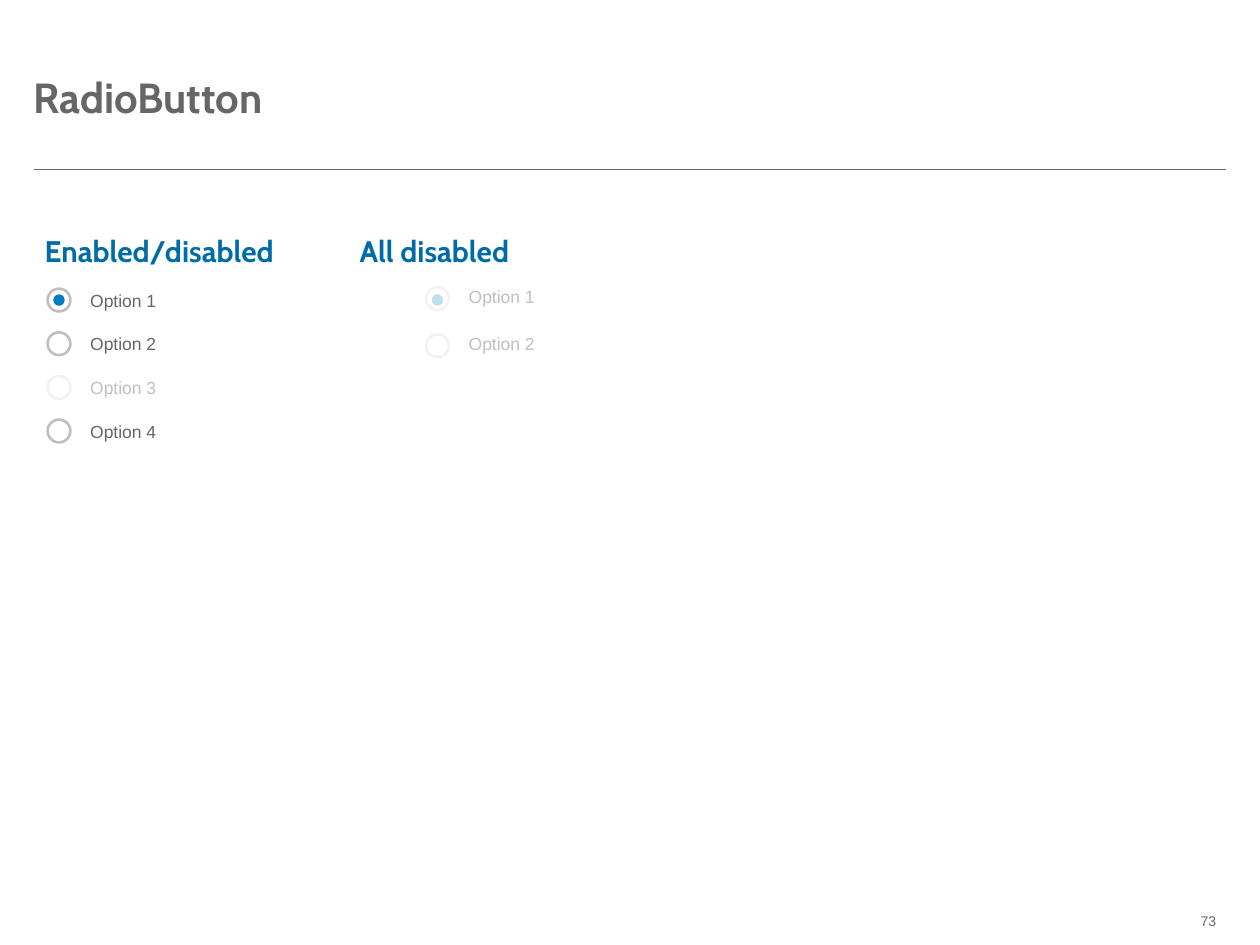
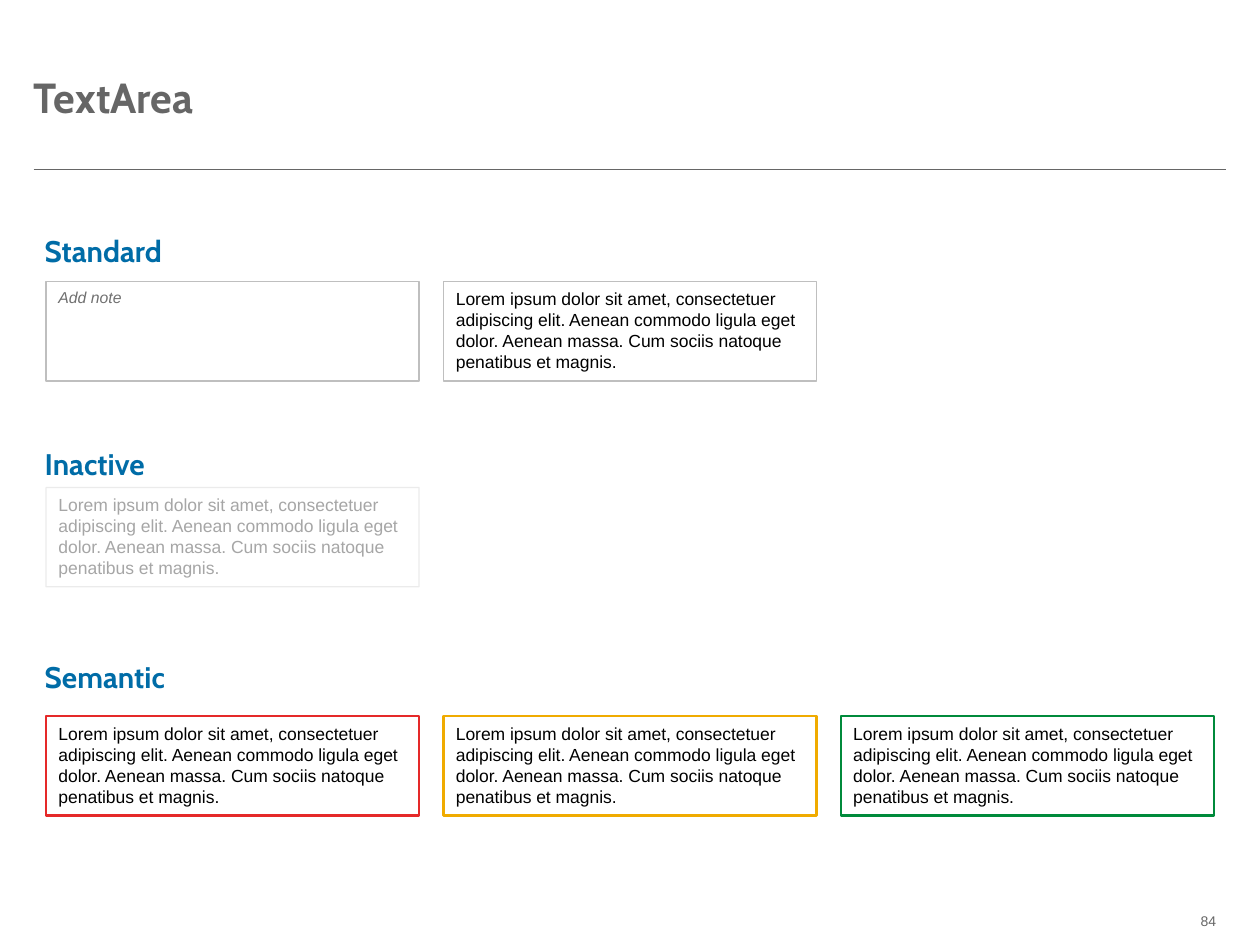
from lxml.etree import SubElement
from pptx import Presentation
from pptx.dml.color import RGBColor
from pptx.enum.shapes import MSO_CONNECTOR, MSO_SHAPE
from pptx.enum.text import MSO_ANCHOR, MSO_AUTO_SIZE, PP_ALIGN
from pptx.oxml.ns import qn
from pptx.util import Cm, Pt

GREY, BLUE, WHITE, BLACK = "666666", "006CA7", "FFFFFF", "000000"
BORDER, FADED_BORDER = "BFBFBF", "F2F2F2"
DOT, FADED_DOT = "007CC0", "BFDEEF"
HINT, INACTIVE = "707070", "A6A6A6"
ERROR, WARNING, SUCCESS = "E52929", "F0AB00", "008A3B"
HEADING_FONT, TEXT_FONT = "Cabin", "Arial"
LOREM = ("Lorem ipsum dolor sit amet, consectetuer adipiscing elit. "
         "Aenean commodo ligula eget dolor. Aenean massa. "
         "Cum sociis natoque penatibus et magnis.")


def rgb(code):
    return RGBColor.from_string(code)


def set_font(para, name, size, color, bold=False, italic=False):
    font = para.font
    font.name, font.size = name, Pt(size)
    font.bold, font.italic = bold, italic
    font.color.rgb = rgb(color)


def set_frame(frame, anchor=MSO_ANCHOR.TOP, margins=(0, 0, 0, 0)):
    """Wrap the text and set its anchor and its margins in centimetres."""
    frame.word_wrap = True
    frame.auto_size = MSO_AUTO_SIZE.NONE
    frame.vertical_anchor = anchor
    (frame.margin_left, frame.margin_top,
     frame.margin_right, frame.margin_bottom) = map(Cm, margins)


def place(shape, left, top, width, height):
    shape.left, shape.top = Cm(left), Cm(top)
    shape.width, shape.height = Cm(width), Cm(height)


def add_label(shapes, text, left, top, width, height, size, color):
    box = shapes.add_textbox(Cm(left), Cm(top), Cm(width), Cm(height))
    set_frame(box.text_frame)
    para = box.text_frame.paragraphs[0]
    para.text = text
    set_font(para, TEXT_FONT, size, color)
    return para


def add_figure(shapes, kind, left, top, width, height, fill, border=None, weight=0):
    shape = shapes.add_shape(kind, Cm(left), Cm(top), Cm(width), Cm(height))
    shape.shadow.inherit = False
    shape.fill.solid()
    shape.fill.fore_color.rgb = rgb(fill)
    if border:
        shape.line.color.rgb = rgb(border)
        shape.line.width = Pt(weight)
    else:
        shape.line.fill.background()
    return shape


def add_page(deck, title, number):
    """Add a page with its title, rule and page number."""
    page = deck.slides.add_slide(deck.slide_layouts[1])
    heading = page.shapes.title
    place(heading, 0.68, 0.89, 24.05, 2.11)
    set_frame(heading.text_frame, MSO_ANCHOR.MIDDLE)
    para = heading.text_frame.paragraphs[0]
    para.text = title
    para.alignment = PP_ALIGN.LEFT
    set_font(para, HEADING_FONT, 24, GREY, bold=True)

    rule = page.shapes.add_connector(
        MSO_CONNECTOR.STRAIGHT, Cm(0.68), Cm(3.42), Cm(24.71), Cm(3.42))
    rule.line.color.rgb = rgb(GREY)
    rule.line.width = Pt(0.5)
    SubElement(rule._element.spPr, qn("a:effectLst"))

    para = add_label(page.shapes, number, 23.5, 18.39, 1.02, 0.35, 8, GREY)
    para.alignment = PP_ALIGN.RIGHT
    return page


def add_headings(page, headings, height, gap=0):
    """Fill the body with section headings, gap points apart."""
    body = page.placeholders[1]
    place(body, 0.9, 4.7, 23.6, height)
    frame = body.text_frame
    set_frame(frame)
    for index, heading in enumerate(headings):
        para = frame.add_paragraph() if index else frame.paragraphs[0]
        para.text = heading
        properties = para._p.get_or_add_pPr()
        properties.set("marL", "0")
        properties.set("indent", "0")
        SubElement(properties, qn("a:buNone"))
        para.space_before = Pt(gap if index else 0)
        set_font(para, HEADING_FONT, 17, BLUE, bold=True)


def add_radio_buttons(page, left, top, pitch, enabled, label_shift=0.02, dot_shift=0):
    """Stack one option per flag in enabled, the first one selected."""
    ring, dot = 0.46, 0.23
    shapes = page.shapes.add_group_shape().shapes
    for index, active in enumerate(enabled):
        y = top + index * pitch
        add_figure(shapes, MSO_SHAPE.OVAL, left, y, ring, ring, WHITE,
                   BORDER if active else FADED_BORDER, 1.5)
        if index == 0:
            inset = (ring - dot) / 2
            add_figure(shapes, MSO_SHAPE.OVAL, left + inset, y + inset + dot_shift,
                       dot, dot, DOT if active else FADED_DOT)
        add_label(shapes, f"Option {index + 1}", left + 0.86, y + label_shift,
                  1.8, 0.43, 10, GREY if active else BORDER)


def add_text_area(page, column, top, border, text=LOREM, color=BLACK,
                  weight=0.75, size=10, italic=False, opacity=None):
    area = add_figure(page.shapes, MSO_SHAPE.RECTANGLE, 0.93 + 8.01 * column, top,
                      7.52, 2, WHITE, border, weight)
    if opacity:
        line_color = area.line._ln.find(".//" + qn("a:srgbClr"))
        SubElement(line_color, qn("a:alpha"), val=str(opacity * 1000))
    set_frame(area.text_frame, margins=(0.25, 0.13, 0.25, 0.13))
    para = area.text_frame.paragraphs[0]
    para.text = text
    para.alignment = PP_ALIGN.LEFT
    set_font(para, TEXT_FONT, size, color, italic=italic)


def add_radio_button_page(deck):
    page = add_page(deck, "RadioButton", "73")
    # Two default tab stops bring the second heading above its column.
    add_headings(page, ["Enabled/disabled\t\tAll disabled"], 12.19)
    add_radio_buttons(page, 0.96, 5.82, 0.88, [True, True, False, True])
    add_radio_buttons(page, 8.59, 5.79, 0.95, [False, False],
                      label_shift=-0.03, dot_shift=0.03)


def add_text_area_page(deck):
    page = add_page(deck, "TextArea", "84")
    add_headings(page, ["Standard", "Inactive", "Semantic"], 12.95, gap=101.3)
    add_text_area(page, 0, 5.68, BORDER, "Add note", HINT, size=9, italic=True)
    add_text_area(page, 1, 5.68, BORDER)
    add_text_area(page, 0, 9.83, BORDER, color=INACTIVE, opacity=30)
    for column, border in enumerate([ERROR, WARNING, SUCCESS]):
        add_text_area(page, column, 14.44, border, weight=1.25)


def main():
    deck = Presentation()
    deck.slide_width, deck.slide_height = Cm(25.4), Cm(19.05)
    add_radio_button_page(deck)
    add_text_area_page(deck)
    deck.save("out.pptx")


if __name__ == "__main__":
    main()
